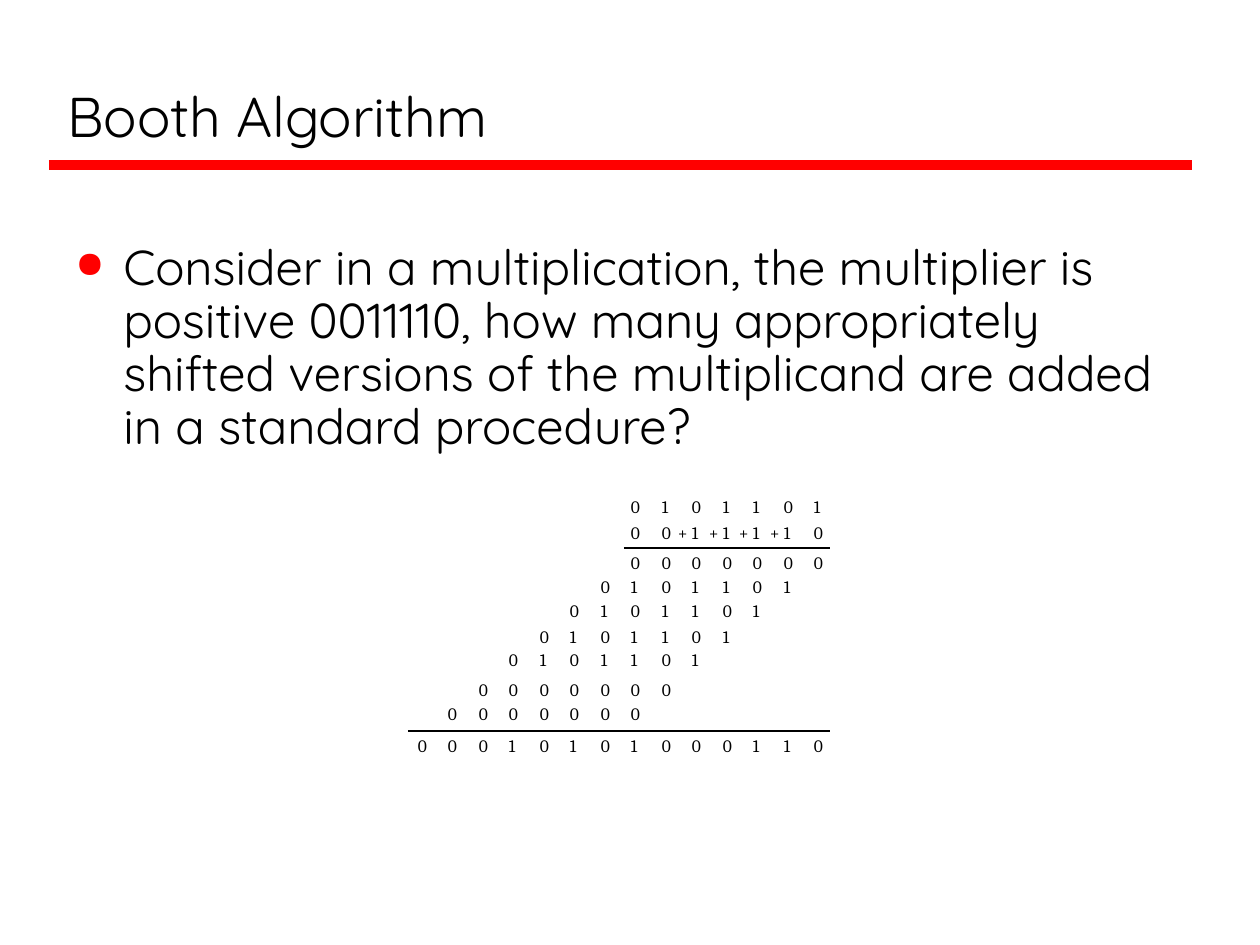
from dataclasses import dataclass

from lxml.etree import SubElement
from pptx import Presentation
from pptx.dml.color import RGBColor
from pptx.enum.shapes import MSO_CONNECTOR
from pptx.enum.text import MSO_ANCHOR, MSO_AUTO_SIZE
from pptx.oxml.ns import qn
from pptx.util import Pt

PX = 914400 / 126  # EMU in one px


@dataclass(frozen=True)
class Theme:
    ink: str = "000000"
    accent: str = "FF0000"
    text_font: str = "Quicksand"
    digit_font: str = "Cambria"
    title_size: int = 32
    body_size: int = 28
    digit_size: int = 10
    title_rule: float = 6
    sum_rule: float = 1.13


def emu(*lengths):
    return [round(length * PX) for length in lengths]


class SlideBuilder:
    def __init__(self, slide, theme):
        self.slide = slide
        self.theme = theme

    def text(self, text, box, font_name, size):
        shape = self.slide.shapes.add_textbox(*emu(*box))
        frame = shape.text_frame
        frame.word_wrap = True
        paragraph = frame.paragraphs[0]
        paragraph.text = text
        paragraph.font.name = font_name
        paragraph.font.size = Pt(size)
        paragraph.font.color.rgb = RGBColor.from_string(self.theme.ink)
        return frame

    def title(self, text, box):
        frame = self.text(text, box, self.theme.text_font, self.theme.title_size)
        frame.vertical_anchor = MSO_ANCHOR.BOTTOM

    def bullet(self, text, box, indent):
        frame = self.text(text, box, self.theme.text_font, self.theme.body_size)
        paragraph = frame.paragraphs[0]
        paragraph.line_spacing = 0.9
        paragraph.space_before = Pt(self.theme.body_size * 0.2)
        properties = paragraph._p.get_or_add_pPr()
        hanging, = emu(indent)
        properties.set("marL", str(hanging))
        properties.set("indent", str(-hanging))
        color = SubElement(properties, qn("a:buClr"))
        SubElement(color, qn("a:srgbClr"), val=self.theme.accent)
        SubElement(properties, qn("a:buSzPct"), val="75000")
        SubElement(properties, qn("a:buChar"), char="●")
        # The schema wants the default run properties after the bullet.
        properties.append(properties.find(qn("a:defRPr")))

    def digit(self, text, left, top):
        frame = self.text(text, (left, top, 10, 21),
                          self.theme.digit_font, self.theme.digit_size)
        frame.margin_left = frame.margin_right = 0
        frame.margin_top = frame.margin_bottom = 0
        frame.word_wrap = False
        frame.auto_size = MSO_AUTO_SIZE.SHAPE_TO_FIT_TEXT

    def rule(self, left, right, y, color, width):
        line = self.slide.shapes.add_connector(
            MSO_CONNECTOR.STRAIGHT, *emu(left, y, right, y))
        line.line.color.rgb = RGBColor.from_string(color)
        line.line.width = Pt(width)
        SubElement(line._element.spPr, qn("a:effectLst"))


FIRST_COLUMN, LAST_COLUMN = 418, 814
COLUMN_COUNT = 14
COLUMN_STEP = (LAST_COLUMN - FIRST_COLUMN) / (COLUMN_COUNT - 1)
SIGN_OFFSET = 14

# top, places shifted left, digits ("+" marks the digit that follows it)
MULTIPLICATION = [
    (496, 0, "0 1 0 1 1 0 1"),
    (522, 0, "0 0 +1 +1 +1 +1 0"),
    (552, 0, "0 0 0 0 0 0 0"),
    (576, 1, "0 1 0 1 1 0 1"),
    (600, 2, "0 1 0 1 1 0 1"),
    (626, 3, "0 1 0 1 1 0 1"),
    (649, 4, "0 1 0 1 1 0 1"),
    (679, 5, "0 0 0 0 0 0 0"),
    (703, 6, "0 0 0 0 0 0 0"),
    (735, 0, "0 0 0 1 0 1 0 1 0 0 0 1 1 0"),
]


def draw_multiplication(builder):
    for top, shift, row in MULTIPLICATION:
        for place, digit in enumerate(reversed(row.split()), start=shift):
            left = round(LAST_COLUMN - place * COLUMN_STEP)
            if digit.startswith("+"):
                builder.digit("+", left - SIGN_OFFSET, top)
            builder.digit(digit[-1], left, top)
    theme = builder.theme
    for left, y in ((624, 548), (408, 731)):
        builder.rule(left, 830, y, theme.ink, theme.sum_rule)


def main():
    presentation = Presentation()
    presentation.slide_width, presentation.slide_height = emu(1260, 945)
    slide = presentation.slides.add_slide(presentation.slide_layouts[6])
    theme = Theme()
    builder = SlideBuilder(slide, theme)
    builder.rule(49, 1192, 165, theme.accent, theme.title_rule)
    builder.title("Booth Algorithm", (55, 21, 1130, 134))
    builder.bullet(
        "Consider in a multiplication, the multiplier is positive 0011110, "
        "how many appropriately shifted versions of the multiplicand are "
        "added in a standard procedure?",
        (63, 237, 1134, 246), indent=48)
    draw_multiplication(builder)
    presentation.save("out.pptx")


if __name__ == "__main__":
    main()
